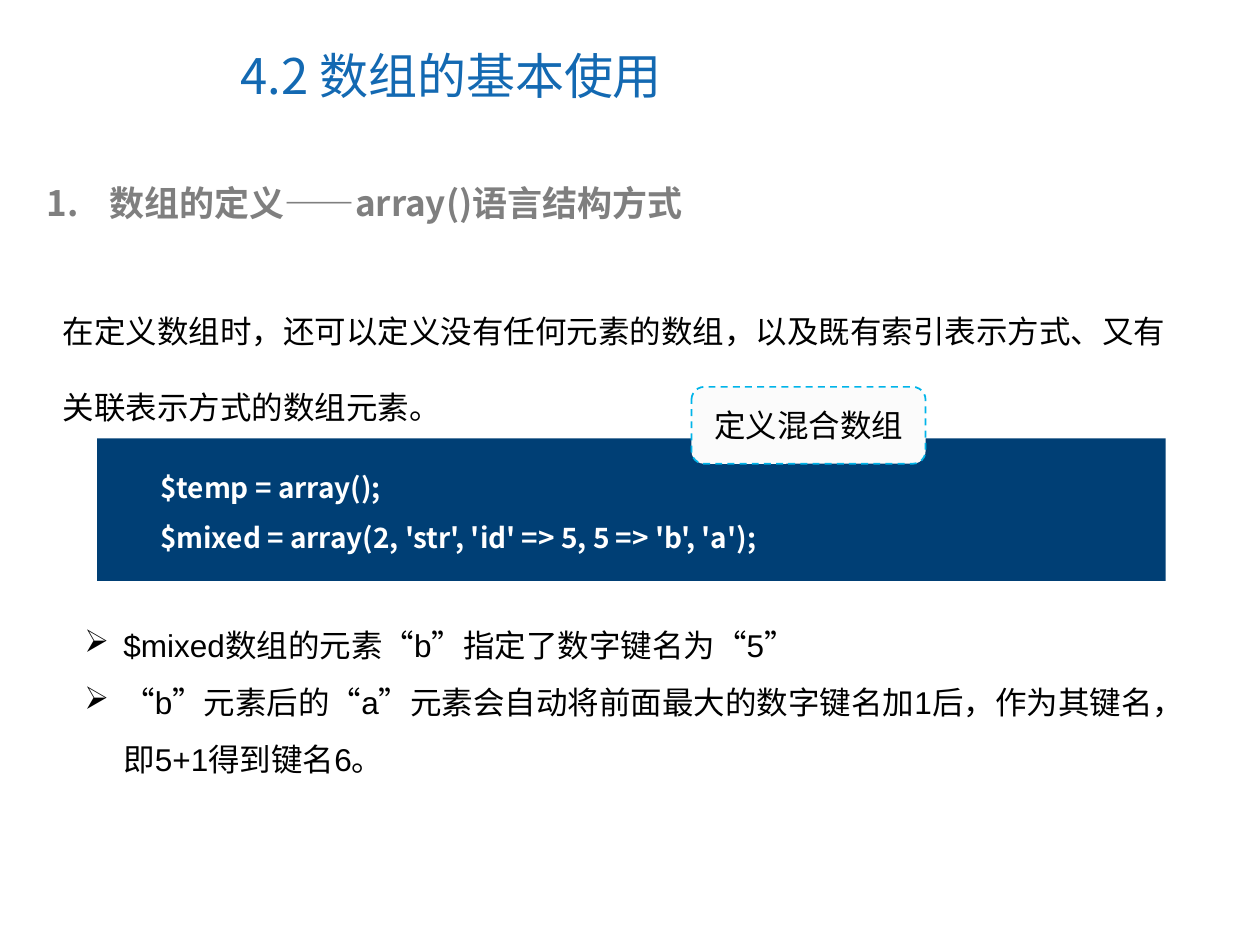
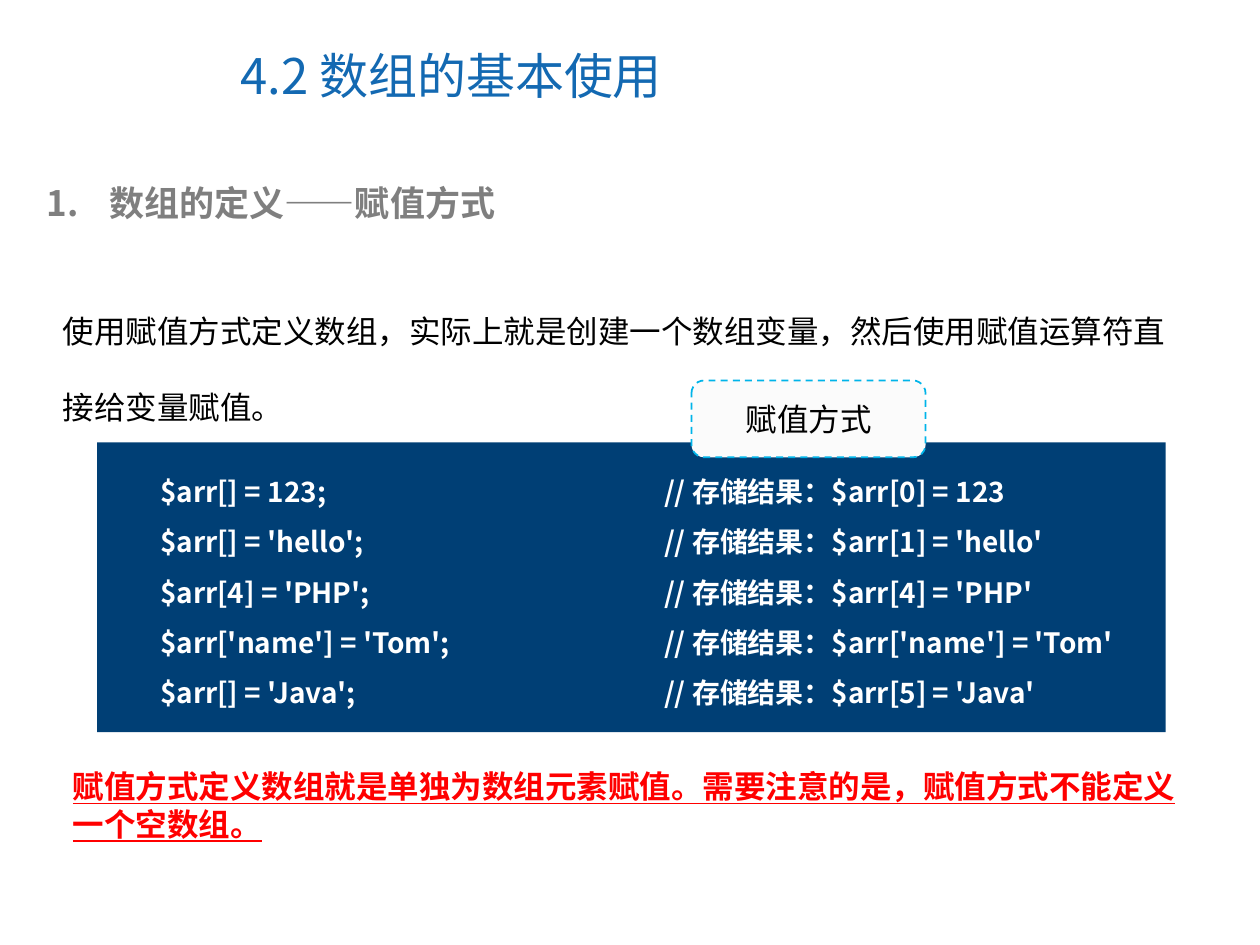
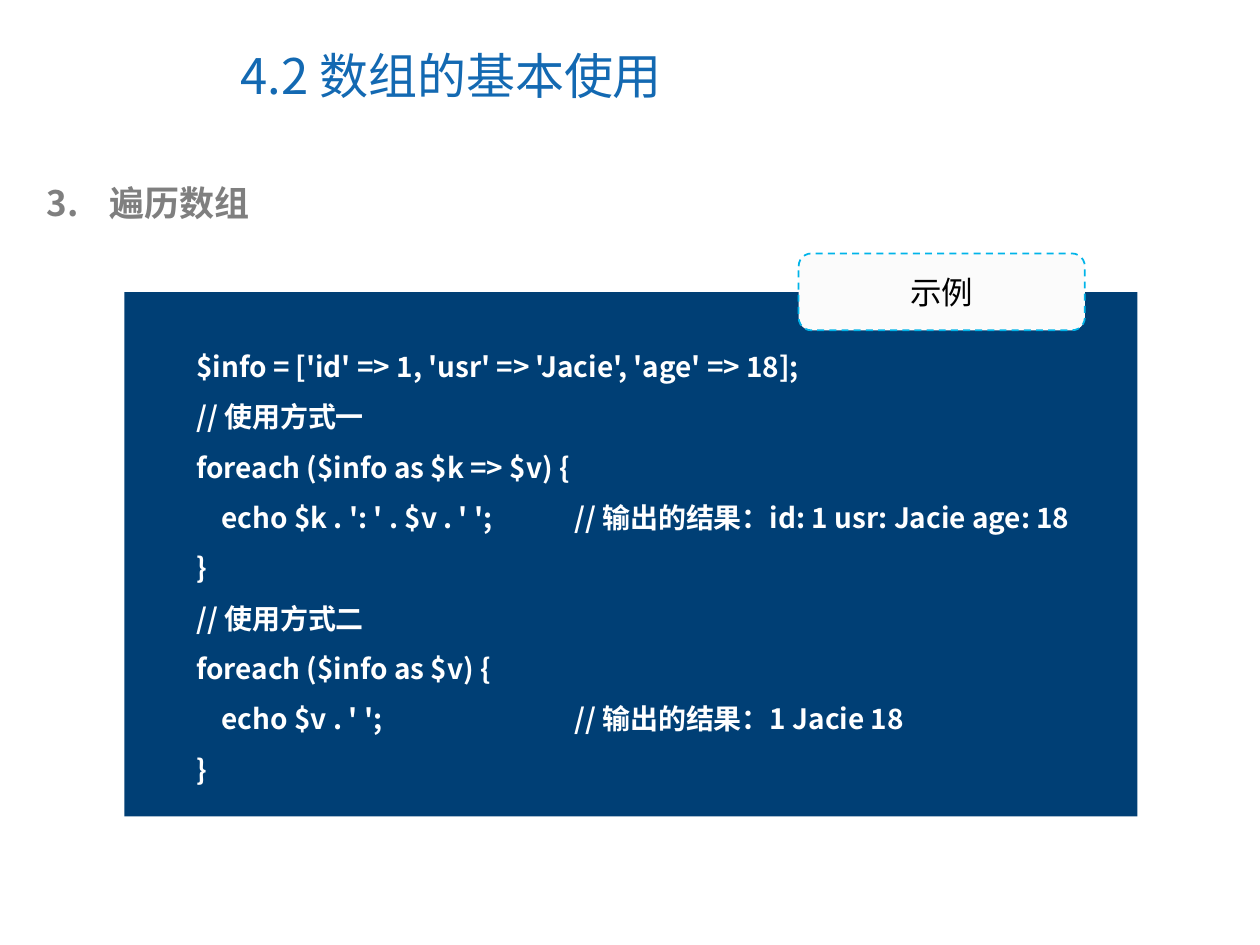
from dataclasses import dataclass

from lxml.etree import SubElement
from pptx import Presentation
from pptx.dml.color import RGBColor
from pptx.enum.dml import MSO_LINE
from pptx.enum.shapes import MSO_SHAPE
from pptx.enum.text import MSO_ANCHOR, PP_ALIGN
from pptx.oxml.ns import qn
from pptx.util import Cm, Pt

CHAPTER = "4.2 数组的基本使用"

LESSONS = [
    {
        "number": 1,
        "heading": "数组的定义——array()语言结构方式",
        "lead": "在定义数组时，还可以定义没有任何元素的数组，以及既有索引表示方式、又有关联表示方式的数组元素。",
        "code": [
            "$temp = array();",
            "$mixed = array(2, 'str', 'id' => 5, 5 => 'b', 'a');",
        ],
        "panel": (1.96, 8.84, 21.54, 2.87),
        "inset": (1.02, 0.18, 0.38, 0.4),
        "comment_stop": 10.16,
        "tag": "定义混合数组",
        "tag_box": (13.94, 7.8, 4.72, 1.55),
        "notes": [
            "$mixed数组的元素“b”指定了数字键名为“5”",
            "“b”元素后的“a”元素会自动将前面最大的数字键名加1后，作为其键名，即5+1得到键名6。",
        ],
    },
    {
        "number": 1,
        "heading": "数组的定义——赋值方式",
        "lead": "使用赋值方式定义数组，实际上就是创建一个数组变量，然后使用赋值运算符直接给变量赋值。",
        "code": [
            "$arr[] = 123;\t// 存储结果：$arr[0] = 123",
            "$arr[] = 'hello';\t// 存储结果：$arr[1] = 'hello'",
            "$arr[4] = 'PHP';\t// 存储结果：$arr[4] = 'PHP'",
            "$arr['name'] = 'Tom';\t// 存储结果：$arr['name'] = 'Tom'",
            "$arr[] = 'Java';\t// 存储结果：$arr[5] = 'Java'",
        ],
        "panel": (1.96, 8.92, 21.54, 5.84),
        "inset": (1.02, 0.18, 0.38, 0.33),
        "comment_stop": 10.16,
        "tag": "赋值方式",
        "tag_box": (13.94, 7.67, 4.72, 1.55),
        "warning": "赋值方式定义数组就是单独为数组元素赋值。需要注意的是，赋值方式不能定义一个空数组。",
    },
    {
        "number": 3,
        "heading": "遍历数组",
        "code": [
            "$info = ['id' => 1, 'usr' => 'Jacie', 'age' => 18];",
            "// 使用方式一",
            "foreach ($info as $k => $v) {",
            "    echo $k . ': ' . $v . ' ';\t// 输出的结果：id: 1 usr: Jacie age: 18",
            "}",
            "// 使用方式二",
            "foreach ($info as $v) {",
            "    echo $v . ' ';\t// 输出的结果：1 Jacie 18",
            "}",
        ],
        "panel": (2.51, 5.89, 20.42, 10.57),
        "inset": (1.2, 0.69, 0, 0.48),
        "comment_stop": 7.62,
        "tag": "示例",
        "tag_box": (16.1, 5.11, 5.77, 1.55),
    },
]

PLACES = {
    "title": (4.6, 0.43, 13.11, 2.16),
    "heading": (0.69, 3.53, 23.42, 1.12),
    "lead": (1.02, 5.41, 23.34, 3.3),
    "notes": (1.45, 12.12, 22.99, 3.68),
    "warning": (1.22, 15.34, 23.11, 1.78),
}


@dataclass(frozen=True)
class Theme:
    sans: str = "Noto Sans CJK SC"
    body: str = "Arial"
    blue: str = "1369B2"
    gray: str = "7F7F7F"
    navy: str = "003F75"
    cyan: str = "00B4E9"
    pale: str = "FBFBFB"
    white: str = "FFFFFF"
    black: str = "000000"
    red: str = "FF0000"
    title_size: int = 28
    heading_size: int = 20
    body_size: int = 18
    code_size: int = 16


THEME = Theme()


def style(name, size, color, paragraph=None, **font):
    return {
        "font": {"name": name, "size": Pt(size), **font},
        "color": RGBColor.from_string(color),
        "paragraph": paragraph or {},
    }


STYLES = {
    "title": style(THEME.sans, THEME.title_size, THEME.blue),
    "heading": style(THEME.sans, THEME.heading_size, THEME.gray, bold=True),
    "lead": style(THEME.body, THEME.body_size, THEME.black, {"line_spacing": 2.0}),
    "code": style(THEME.sans, THEME.code_size, THEME.white, {"line_spacing": 1.5}, bold=True),
    "notes": style(THEME.body, THEME.body_size, THEME.black, {"line_spacing": 1.5}),
    "tag": style(THEME.body, THEME.body_size, THEME.black, {"alignment": PP_ALIGN.CENTER}),
    "warning": style(THEME.body, THEME.body_size, THEME.red, bold=True, underline=True),
}


def apply(target, values):
    for key, value in values.items():
        setattr(target, key, value)


def add_bullet(paragraph, color, indent, mark, **settings):
    props = paragraph._p.get_or_add_pPr()
    props.set("marL", str(Cm(indent)))
    props.set("indent", str(-Cm(indent)))
    bullet_color = SubElement(props, qn("a:buClr"))
    SubElement(bullet_color, qn("a:srgbClr")).set("val", color)
    bullet = SubElement(props, qn(mark))
    for key, value in settings.items():
        bullet.set(key, str(value))


def add_tab_stop(paragraph, stop):
    tabs = SubElement(paragraph._p.get_or_add_pPr(), qn("a:tabLst"))
    tab = SubElement(tabs, qn("a:tab"))
    tab.set("pos", str(Cm(stop)))
    tab.set("algn", "l")


def add_run(paragraph, words, look, **font):
    run = paragraph.add_run()
    run.text = words
    apply(run.font, {**look["font"], **font})
    run.font.color.rgb = look["color"]
    props = run._r.get_or_add_rPr()
    props.set("lang", "zh-CN")
    east_asian = props.makeelement(qn("a:ea"), {"typeface": THEME.sans})
    props.find(qn("a:latin")).addnext(east_asian)


def write(frame, part, lines, decorate=None):
    look = STYLES[part]
    frame.word_wrap = True
    for index, line in enumerate(lines):
        paragraph = frame.add_paragraph() if index else frame.paragraphs[0]
        if decorate:
            decorate(paragraph)
        apply(paragraph, look["paragraph"])
        pieces = line.split("”")
        for position, piece in enumerate(pieces):
            if position:
                add_run(paragraph, "”", look, name=THEME.sans)
            if piece:
                add_run(paragraph, piece, look)


def add_text(slide, part, lines, place=None, decorate=None):
    box = slide.shapes.add_textbox(*map(Cm, place or PLACES[part]))
    write(box.text_frame, part, lines, decorate)
    return box.text_frame


def add_block(slide, kind, place, color):
    block = slide.shapes.add_shape(kind, *map(Cm, place))
    block.shadow.inherit = False
    block.fill.solid()
    block.fill.fore_color.rgb = RGBColor.from_string(color)
    return block


def add_code(slide, lesson):
    left, top, width, height = lesson["panel"]
    inset_left, inset_top, inset_right, inset_bottom = lesson["inset"]
    panel = add_block(slide, MSO_SHAPE.RECTANGLE, lesson["panel"], THEME.navy)
    panel.line.fill.background()
    place = (
        left + inset_left,
        top + inset_top,
        width - inset_left - inset_right,
        height - inset_top - inset_bottom,
    )
    add_text(slide, "code", lesson["code"], place,
             lambda p: add_tab_stop(p, lesson["comment_stop"]))


def add_tag(slide, lesson):
    tag = add_block(slide, MSO_SHAPE.ROUNDED_RECTANGLE, lesson["tag_box"], THEME.pale)
    tag.line.color.rgb = RGBColor.from_string(THEME.cyan)
    apply(tag.line, {"width": Pt(1), "dash_style": MSO_LINE.DASH})
    tag.text_frame.vertical_anchor = MSO_ANCHOR.MIDDLE
    write(tag.text_frame, "tag", [lesson["tag"]])


def add_lesson(deck, lesson):
    slide = deck.slides.add_slide(deck.slide_layouts[6])
    title = add_text(slide, "title", [CHAPTER])
    title.vertical_anchor = MSO_ANCHOR.MIDDLE
    add_text(slide, "heading", [lesson["heading"]], decorate=lambda p: add_bullet(
        p, THEME.gray, 1.27, "a:buAutoNum", type="arabicPeriod", startAt=lesson["number"]))
    if "lead" in lesson:
        add_text(slide, "lead", [lesson["lead"]])
    add_code(slide, lesson)
    if "notes" in lesson:
        add_text(slide, "notes", lesson["notes"], decorate=lambda p: add_bullet(
            p, THEME.black, 0.79, "a:buChar", char="➢"))
    add_tag(slide, lesson)
    if "warning" in lesson:
        add_text(slide, "warning", [lesson["warning"]])


def main():
    deck = Presentation()
    apply(deck, {"slide_width": Cm(25.4), "slide_height": Cm(19.05)})
    for lesson in LESSONS:
        add_lesson(deck, lesson)
    deck.save("out.pptx")


if __name__ == "__main__":
    main()
